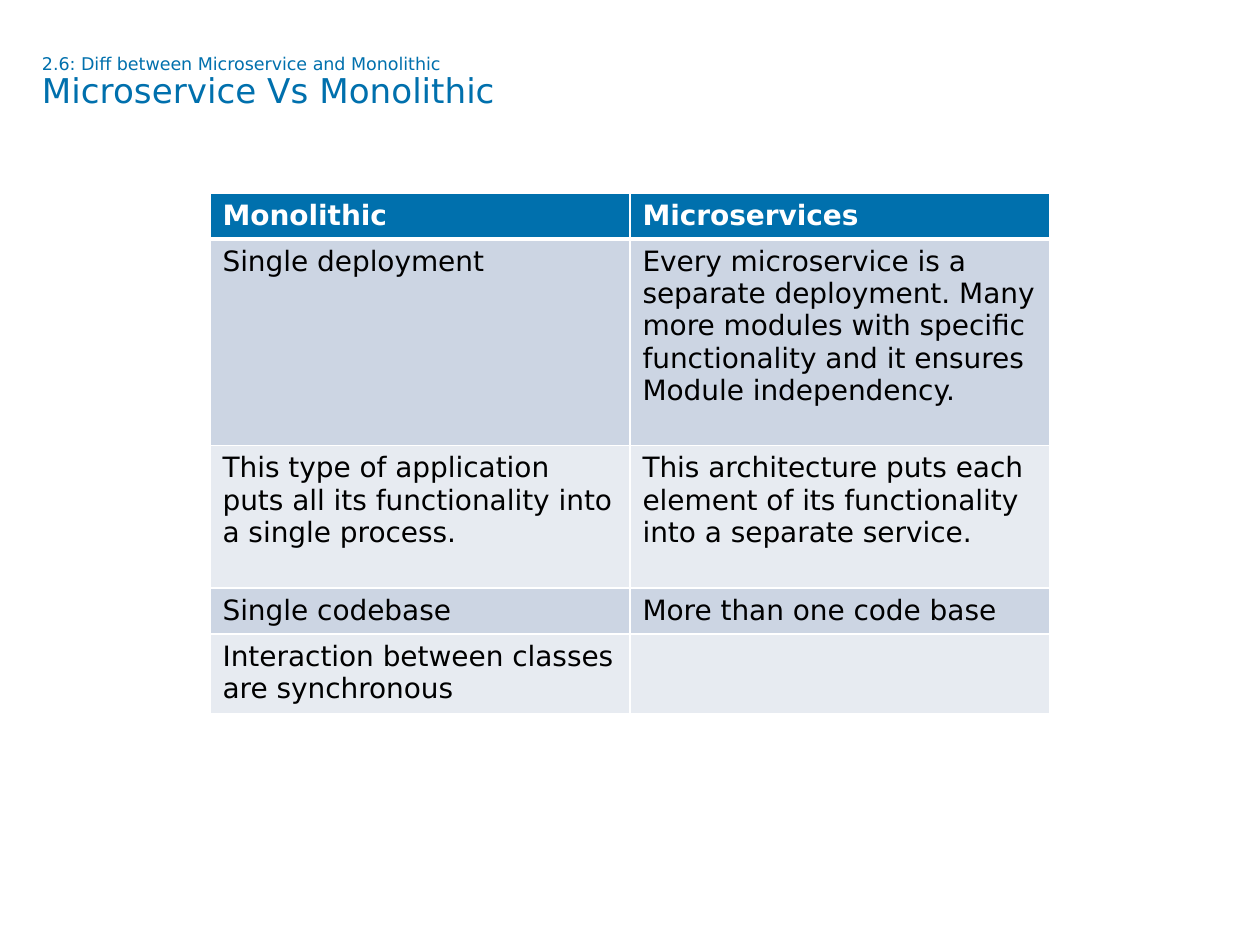
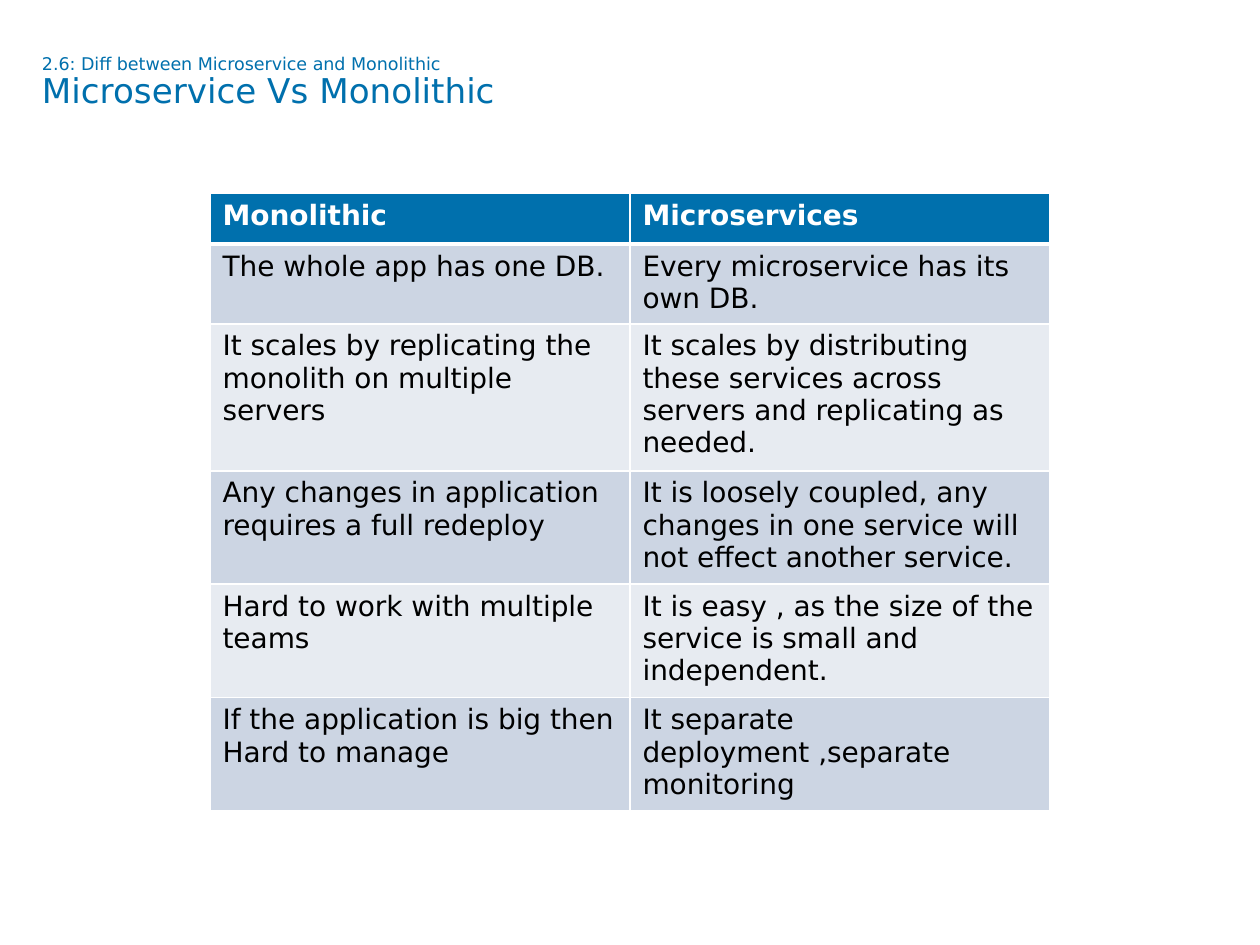
import pptx
import pptx.util
import pptx.dml.color
import pptx.enum.text
import pptx.oxml
import pptx.oxml.ns
from pptx.util import Pt

BLUE, WHITE, BLACK = "0070AD", "FFFFFF", "000000"
BANDS = ("CCD5E3", "E7EBF1")
FONT = "DejaVu Sans"
SECTION = "2.6: Diff between Microservice and Monolithic"
TITLE = "Microservice Vs Monolithic"
HEADERS = ("Monolithic", "Microservices")


def colour(value):
    return pptx.dml.color.RGBColor.from_string(value)


class Deck:
    def __init__(self):
        self.deck = pptx.Presentation()
        self.deck.slide_width = Pt(720)
        self.deck.slide_height = Pt(540)
        self.page = None

    def add_page(self):
        self.page = self.deck.slides.add_slide(self.deck.slide_layouts[6])

    def style(self, font, size, shade, bold=False):
        font.name = FONT
        font.size = Pt(size)
        font.bold = bold
        font.color.rgb = colour(shade)

    def title(self, section, heading):
        box = self.page.shapes.add_textbox(Pt(24), Pt(31.7), Pt(651), Pt(68))
        frame = box.text_frame
        frame.word_wrap = True
        frame.vertical_anchor = pptx.enum.text.MSO_ANCHOR.TOP
        frame.margin_left = frame.margin_right = 0
        frame.margin_top = frame.margin_bottom = 0
        para = frame.paragraphs[0]
        para.line_spacing = 0.9
        for text, size in ((section, 10), (heading, 19.5)):
            if para.runs:
                para.add_line_break()
            span = para.add_run()
            span.text = text
            self.style(span.font, size, BLUE)

    def borders(self, cell, bottom):
        properties = cell._tc.get_or_add_tcPr()
        widths = {"lnL": 1, "lnR": 1, "lnT": 1, "lnB": bottom}
        for index, (side, width) in enumerate(widths.items()):
            line = pptx.oxml.parse_xml(
                f'<a:{side} {pptx.oxml.ns.nsdecls("a")} w="{Pt(width)}">'
                f'<a:solidFill><a:srgbClr val="{WHITE}"/></a:solidFill></a:{side}>'
            )
            properties.insert(index, line)

    def table(self, rows, heights):
        grid = self.page.shapes.add_table(
            len(rows), 2, Pt(120), Pt(110.2), Pt(480), Pt(sum(heights))
        ).table
        for column in grid.columns:
            column.width = Pt(240)
        for index, (texts, height) in enumerate(zip(rows, heights)):
            grid.rows[index].height = Pt(height)
            header = index == 0
            for cell, text in zip(grid.rows[index].cells, texts):
                cell.text = text
                cell.fill.solid()
                cell.fill.fore_color.rgb = colour(BLUE if header else BANDS[(index - 1) % 2])
                shade = WHITE if header else BLACK
                self.style(cell.text_frame.paragraphs[0].font, 16, shade, header)
                self.borders(cell, 3 if header else 1)

    def comparison(self, rows, heights):
        self.add_page()
        self.title(SECTION, TITLE)
        self.table([HEADERS, *rows], heights)


def main():
    show = Deck()
    show.comparison(
        [
            ("Single deployment",
             "Every microservice is a separate deployment. Many more modules with "
             "specific functionality and it ensures Module independency."),
            ("This type of application puts all its functionality into a single process.",
             "This architecture puts each element of its functionality into a separate service."),
            ("Single codebase", "More than one code base"),
            ("Interaction between classes are synchronous", ""),
        ],
        (25.4, 118, 81.4, 25.4, 44),
    )
    show.comparison(
        [
            ("The whole app has one DB.", "Every microservice has its own DB."),
            ("It scales by replicating the monolith on multiple servers",
             "It scales by distributing these services across servers and replicating as needed."),
            ("Any changes in application requires a full redeploy",
             "It is loosely coupled, any changes in one service will not effect another service."),
            ("Hard to work with multiple teams",
             "It is easy , as the size of the service is small and independent."),
            ("If the application is big then Hard to manage",
             "It separate deployment ,separate monitoring"),
        ],
        (29.2, 44.2, 81.2, 62.6, 62.6, 62.6),
    )
    show.deck.save("out.pptx")


if __name__ == "__main__":
    main()
